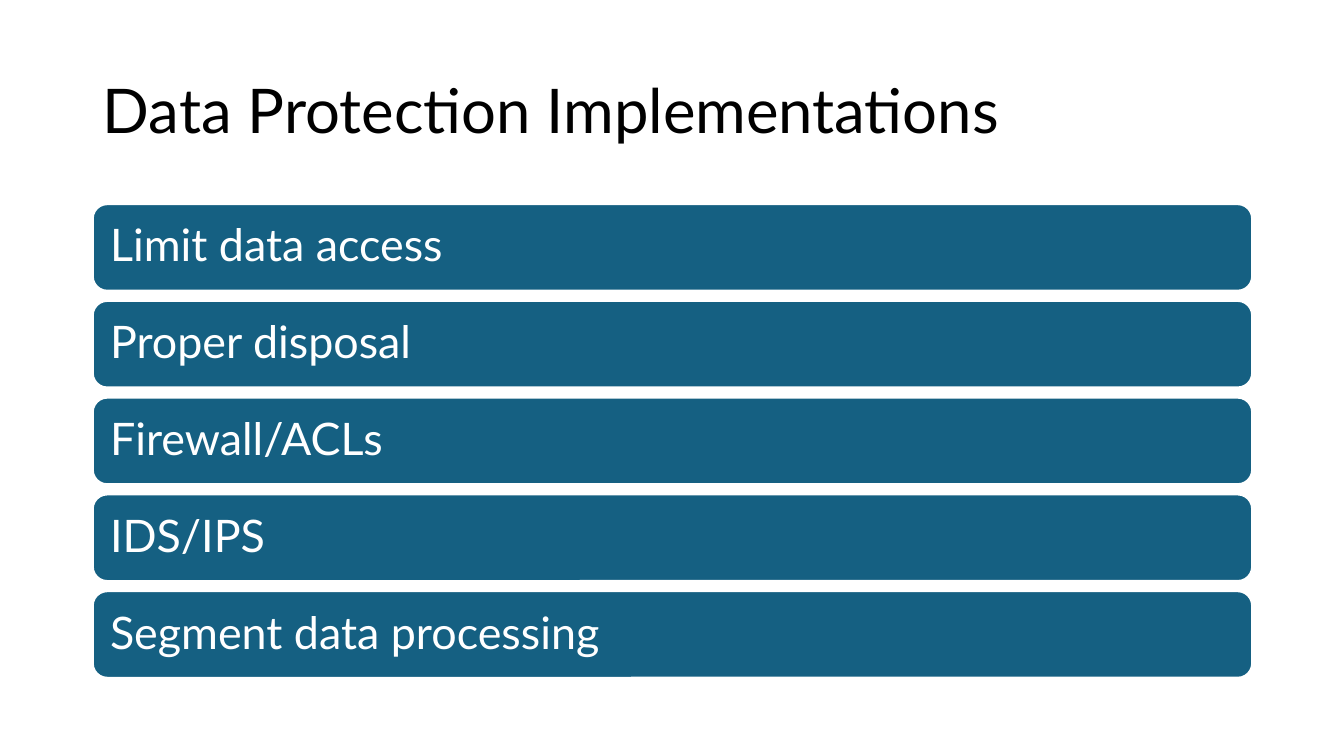
"""Build the Data Protection Implementations slide."""
from pptx import Presentation
from pptx.dml.color import RGBColor
from pptx.enum.shapes import MSO_SHAPE
from pptx.enum.text import MSO_ANCHOR, PP_ALIGN
from pptx.util import Inches, Pt

TITLE = "Data Protection Implementations"
MEASURES = [
    "Limit data access",
    "Proper disposal",
    "Firewall/ACLs",
    "IDS/IPS",
    "Segment data processing",
]

FONT = "Lato"
BLACK = RGBColor(0x00, 0x00, 0x00)
WHITE = RGBColor(0xFF, 0xFF, 0xFF)
TEAL = RGBColor(0x15, 0x60, 0x82)

LEFT, WIDTH = 0.92, 11.5
BAR_TOP, BAR_HEIGHT, BAR_PITCH = 2.025, 0.86, 0.96
INSET = Inches(0.13)


def set_text(frame, text, size, color):
    """Fill a frame with one left-aligned, vertically centred paragraph."""
    frame.text = text
    frame.word_wrap = True
    frame.vertical_anchor = MSO_ANCHOR.MIDDLE
    para = frame.paragraphs[0]
    para.alignment = PP_ALIGN.LEFT
    para.line_spacing = 0.9
    font = para.runs[0].font
    font.name, font.size, font.color.rgb = FONT, Pt(size), color


def add_bar(slide, index, text):
    """Add one rounded bar at its place in the stack."""
    top = BAR_TOP + index * BAR_PITCH
    bar = slide.shapes.add_shape(
        MSO_SHAPE.ROUNDED_RECTANGLE,
        Inches(LEFT), Inches(top), Inches(WIDTH), Inches(BAR_HEIGHT),
    )
    bar.shadow.inherit = False
    bar.fill.solid()
    bar.fill.fore_color.rgb = TEAL
    bar.line.color.rgb = WHITE
    bar.line.width = Pt(1.5)
    frame = bar.text_frame
    frame.margin_left = frame.margin_right = INSET
    frame.margin_top = frame.margin_bottom = INSET
    set_text(frame, text, 32, WHITE)


def main():
    """Create the deck and save it."""
    deck = Presentation()
    deck.slide_width, deck.slide_height = Inches(13.33), Inches(7.5)
    slide = deck.slides.add_slide(deck.slide_layouts[5])
    title = slide.shapes.title
    title.left, title.top = Inches(LEFT), Inches(0.4)
    title.width, title.height = Inches(WIDTH), Inches(1.45)
    set_text(title.text_frame, TITLE, 44, BLACK)
    for index, measure in enumerate(MEASURES):
        add_bar(slide, index, measure)
    deck.save("out.pptx")


if __name__ == "__main__":
    main()
